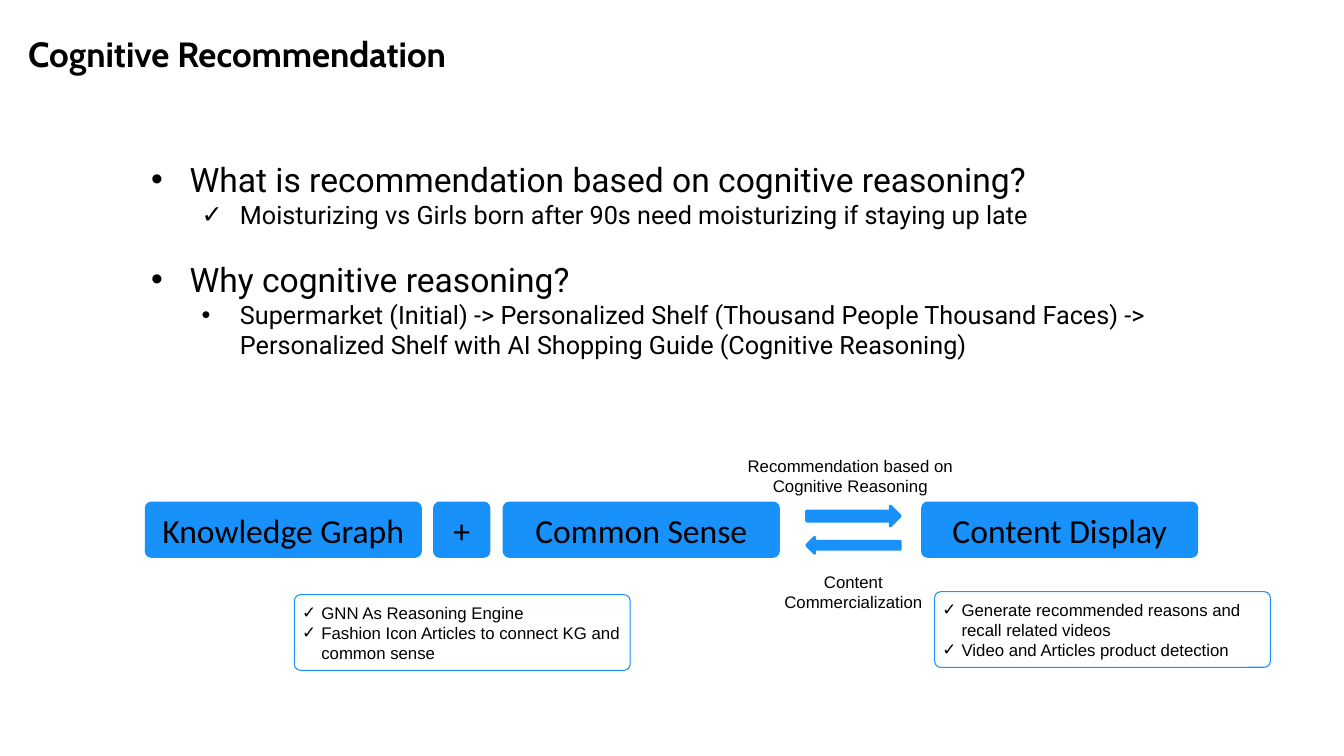
from dataclasses import dataclass

from lxml import etree
from pptx import Presentation
from pptx import util as u
from pptx.dml.color import RGBColor
from pptx.enum import shapes, text
from pptx.oxml.ns import qn

SHAPE = shapes.MSO_SHAPE
CENTER = text.PP_ALIGN.CENTER
DOT, CHECK = "•", "✓"


@dataclass(frozen=True)
class Theme:
    ink: RGBColor = RGBColor(0, 0, 0)
    accent: RGBColor = RGBColor(0x18, 0x91, 0xFB)
    title_font: str = "Cabin"
    body_font: str = "Roboto"
    block_font: str = "Calibri"
    note_font: str = "Arial"
    title_size: int = 25
    question_size: int = 24
    answer_size: int = 18
    block_size: int = 24
    note_size: int = 12
    heavy_line: float = 2
    fine_line: float = 0.75


THEME = Theme()


def prepare_frame(shape, inset, anchor=text.MSO_ANCHOR.TOP):
    frame = shape.text_frame
    frame.word_wrap = True
    frame.vertical_anchor = anchor
    frame.margin_left = frame.margin_right = u.Inches(inset)
    frame.margin_top = frame.margin_bottom = u.Inches(inset)
    return frame


def write_line(frame, words, font, size, bold=False, align=None,
               bullet=None, indent=0, hang=0, level=0, before=0):
    """Fill the empty first paragraph, or append one, with an optional bullet."""
    line = frame.paragraphs[0]
    if line.runs:
        line = frame.add_paragraph()
    line.add_run().text = words
    if level:
        line.level = level
    if align is not None:
        line.alignment = align
    if before:
        line.space_before = u.Pt(before)
    if bullet:
        props = line._p.get_or_add_pPr()
        props.set("marL", str(u.Inches(indent)))
        props.set("indent", str(-u.Inches(hang)))
        etree.SubElement(props, qn("a:buFont")).set("typeface", "Arial")
        etree.SubElement(props, qn("a:buChar")).set("char", bullet)
    line.font.name = font
    line.font.size = u.Pt(size)
    line.font.bold = bold
    line.font.color.rgb = THEME.ink


def add_panel(slide, kind, box, fill=None, line_width=None, corner=None):
    panel = slide.shapes.add_shape(kind, *map(u.Inches, box))
    panel.shadow.inherit = False
    if corner is not None:
        panel.adjustments[0] = corner
    if fill is None:
        panel.fill.background()
    else:
        panel.fill.solid()
        panel.fill.fore_color.rgb = fill
    if line_width is None:
        panel.line.fill.background()
    else:
        panel.line.color.rgb = THEME.accent
        panel.line.width = u.Pt(line_width)
    return panel


def add_title(slide, box, words):
    title = slide.shapes.add_textbox(*map(u.Inches, box))
    write_line(prepare_frame(title, 0.05), words, THEME.title_font,
               THEME.title_size, bold=True)


def add_questions(slide, box, questions):
    """Each question is followed by one indented answer with its own bullet."""
    body = slide.shapes.add_textbox(*map(u.Inches, box))
    frame = prepare_frame(body, 0.05)
    for index, (question, mark, answer) in enumerate(questions):
        write_line(frame, question, THEME.body_font, THEME.question_size,
                   bullet=DOT, indent=0.38, hang=0.38, before=21 if index else 0)
        write_line(frame, answer, THEME.body_font, THEME.answer_size,
                   bullet=mark, indent=0.88, hang=0.38, level=1)


def add_block(slide, box, words):
    block = add_panel(slide, SHAPE.ROUNDED_RECTANGLE, box, THEME.accent,
                      THEME.heavy_line, corner=0.098)
    write_line(prepare_frame(block, 0.05, text.MSO_ANCHOR.MIDDLE), words,
               THEME.block_font, THEME.block_size, align=CENTER)


def add_note(slide, box, lines, checked):
    """A framed checklist, or a bare centred label when not checked."""
    note = add_panel(slide, SHAPE.ROUNDED_RECTANGLE, box, corner=0.079,
                     line_width=THEME.fine_line if checked else None)
    frame = prepare_frame(note, 0.06, text.MSO_ANCHOR.MIDDLE)
    style = (dict(bullet=CHECK, indent=0.19, hang=0.19, align=text.PP_ALIGN.LEFT)
             if checked else dict(align=CENTER))
    for words in lines:
        write_line(frame, words, THEME.note_font, THEME.note_size, **style)


def add_pipeline(slide, left, top):
    """Blocks joined by two arrows, with labels and checklists around them."""
    wide, high, note_wide = 2.72, 0.53, 3.33
    for dx, width, words in [(0, wide, "Knowledge Graph"), (2.86, 0.54, "+"),
                             (3.55, wide, "Common Sense"),
                             (7.7, wide, "Content Display")]:
        add_block(slide, (left + dx, top, width, high), words)

    for kind, dy, height in [(SHAPE.RIGHT_ARROW, 0.03, 0.2),
                             (SHAPE.LEFT_ARROW, 0.34, 0.16)]:
        add_panel(slide, kind, (left + 6.55, top + dy, 0.93, height),
                  THEME.accent, THEME.heavy_line)

    for dx, dy, height, checked, lines in [
        (5.32, -0.54, 0.54, False,
         ["Recommendation based on", "Cognitive Reasoning"]),
        (5.35, 0.61, 0.54, False, ["Content", "Commercialization"]),
        (1.47, 0.91, 0.75, True,
         ["GNN As Reasoning Engine",
          "Fashion Icon Articles to connect KG and common sense"]),
        (7.82, 0.88, 0.75, True,
         ["Generate recommended reasons and recall related videos",
          "Video and Articles product detection"]),
    ]:
        add_note(slide, (left + dx, top + dy, note_wide, height), lines, checked)


def main():
    deck = Presentation()
    deck.slide_width, deck.slide_height = u.Inches(13.33), u.Inches(7.5)
    slide = deck.slides.add_slide(deck.slide_layouts[6])
    add_title(slide, (0.23, 0.27, 9.68, 0.52), "Cognitive Recommendation")
    add_questions(slide, (1.45, 1.53, 9.97, 2.12), [
        ("What is recommendation based on cognitive reasoning?", CHECK,
         "Moisturizing vs Girls born after 90s need moisturizing if staying up late"),
        ("Why cognitive reasoning?", DOT,
         "Supermarket (Initial) -> Personalized Shelf (Thousand People Thousand "
         "Faces) -> Personalized Shelf with AI Shopping Guide (Cognitive Reasoning)"),
    ])
    add_pipeline(slide, 1.45, 4.99)
    deck.save("out.pptx")


if __name__ == "__main__":
    main()
